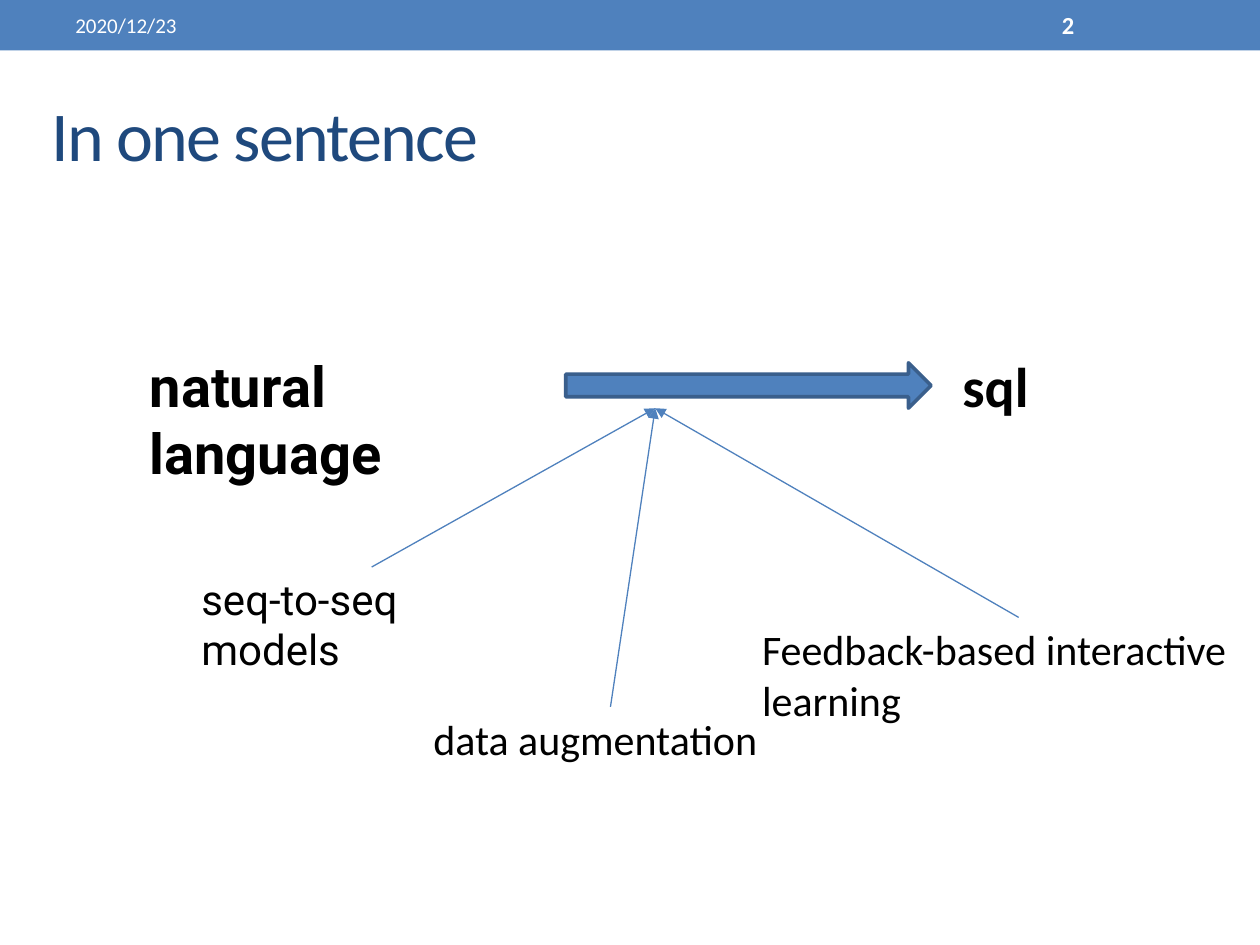
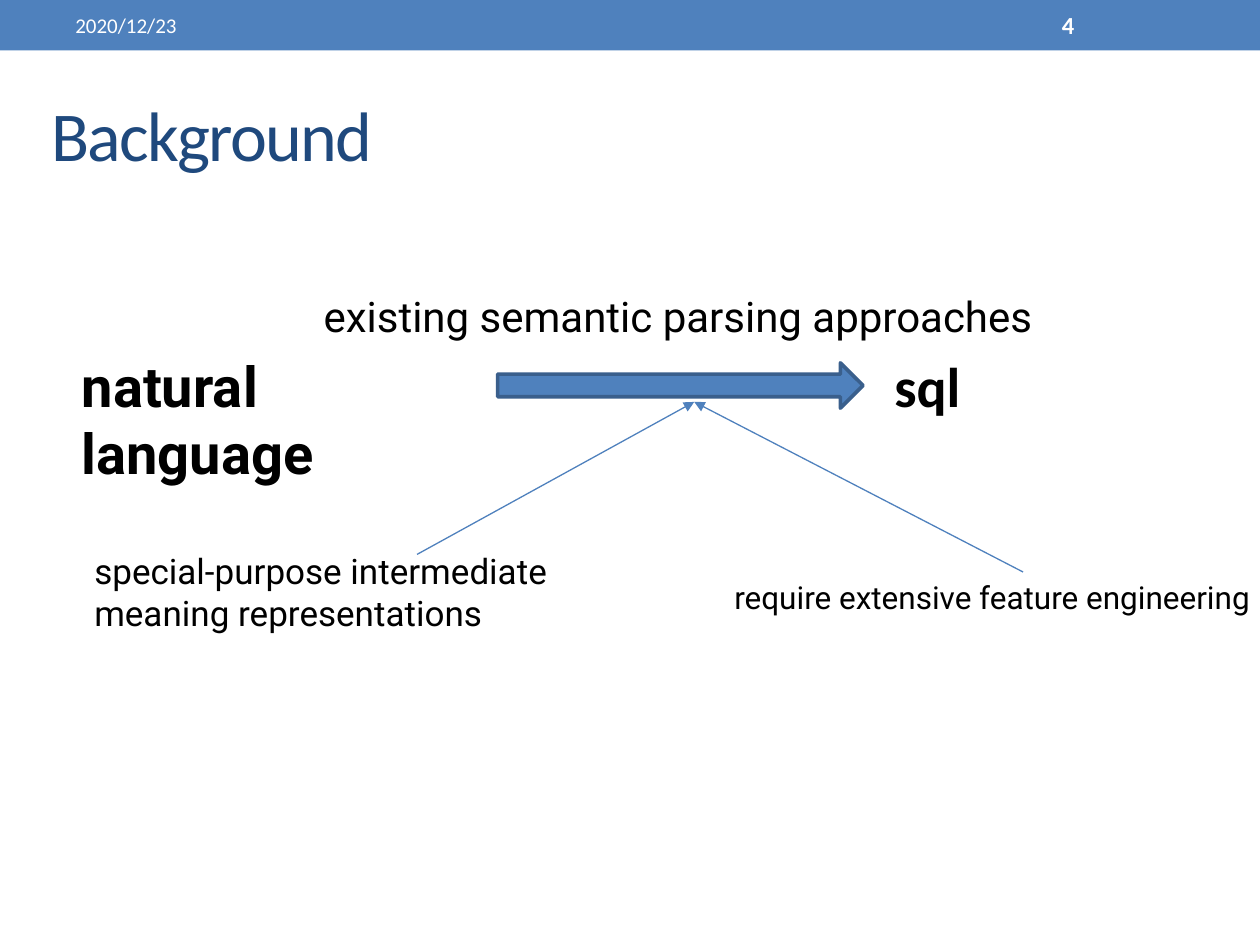
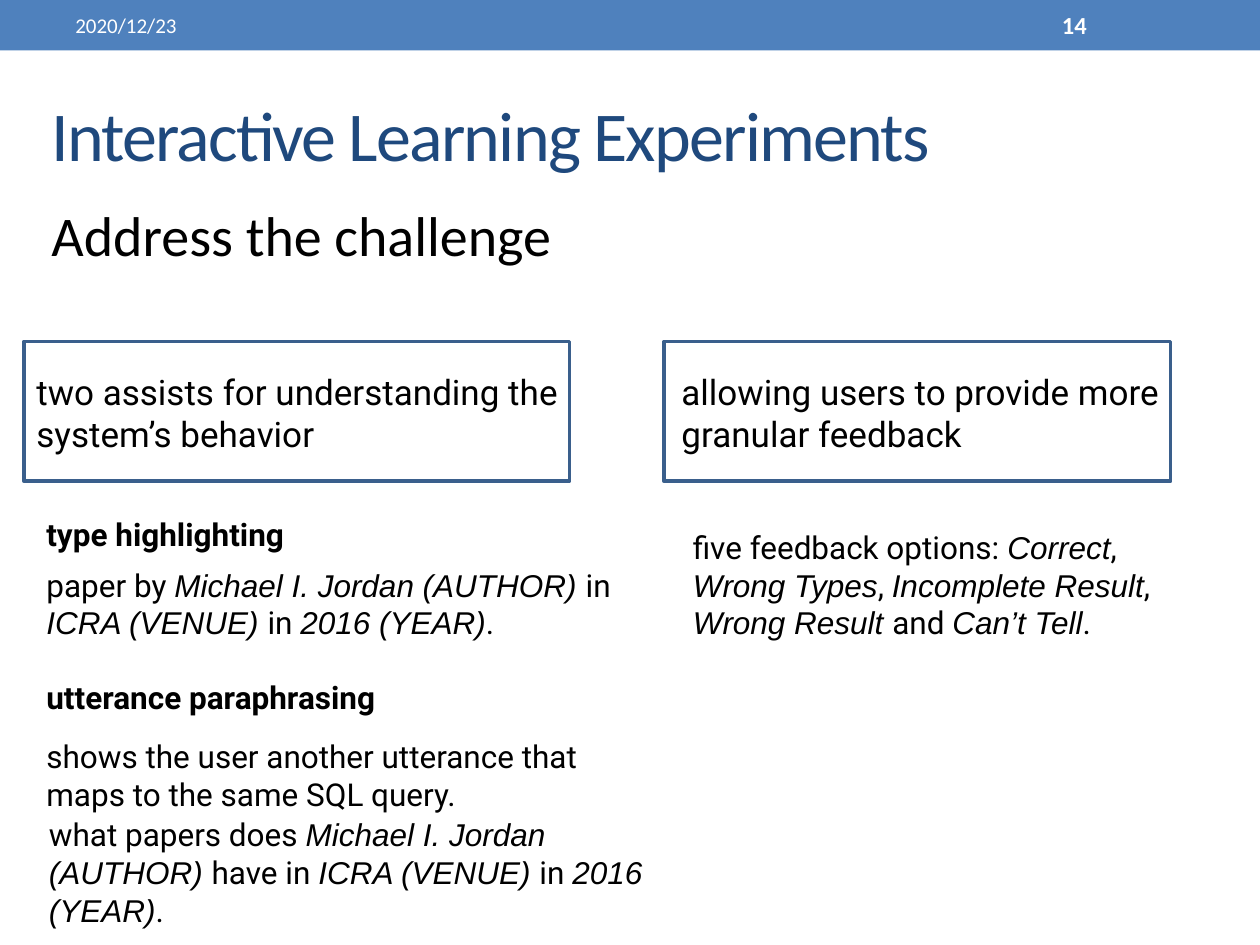
import pptx
import pptx.util
import pptx.dml.color
import pptx.enum.shapes
import pptx.enum.text
import pptx.oxml
import pptx.oxml.ns

Inches = pptx.util.Inches
Pt = pptx.util.Pt
SHAPE = pptx.enum.shapes.MSO_SHAPE
ANCHOR = pptx.enum.text.MSO_ANCHOR

COLORS = {"blue": "4F81BD", "edge": "3A5F8C", "title": "1F497D", "white": "FFFFFF", "black": "000000"}
DATE = "2020/12/23"
SLIDE_W, SLIDE_H, BAND_H = 10, 7.5, 0.4

# Labels: text, (left, top, width, height), size, font, start of the arrow (None: top centre)
SENTENCE = {
    "title": "In one sentence", "number": 2, "flow_left": 1.09, "target": (5.2, 3.24),
    "labels": [
        ("seq-to-seq models", (1.5, 4.5, 2.9, 0.5), 24, "Roboto", None),
        ("data augmentation", (3.34, 5.61, 3.01, 0.5), 24, "Calibri", None),
        ("Feedback-based interactive learning", (5.95, 4.9, 4.27, 0.91), 24, "Calibri", None),
    ],
}
BACKGROUND = {
    "title": "Background", "number": 4, "flow_left": 0.55, "target": (5.51, 3.19),
    "heading": "existing semantic parsing approaches",
    "labels": [
        ("special-purpose intermediate meaning representations",
         (0.65, 4.31, 4.5, 0.77), 20, "Roboto", (3.31, 4.4)),
        ("require extensive feature engineering",
         (5.73, 4.54, 5, 0.4), 18, "Roboto", (8.12, 4.54)),
    ],
}
# Text between asterisks is italic
EXPERIMENTS = {
    "title": "Interactive Learning Experiments", "number": 14, "subtitle": "Address the challenge",
    "frames": [(0.19, 4.33), (5.27, 4.02)],
    "claims": [
        ("two assists for understanding the system’s behavior", 0.19, 4.69),
        ("allowing users to provide more granular feedback", 5.31, 4.19),
    ],
    "headings": [("type highlighting", 4.04), ("utterance paraphrasing", 5.33)],
    "details": [
        ("paper by *Michael I. Jordan (AUTHOR) *in *ICRA (VENUE) *in *2016 (YEAR)*.", (0.27, 4.44, 4.88, 0.71)),
        ("shows the user another utterance that maps to the same SQL query.", (0.27, 5.8, 5.04, 0.71)),
        ("what papers does *Michael I. Jordan (AUTHOR) *have in *ICRA (VENUE) *in *2016 (YEAR)*.",
         (0.29, 6.42, 5.38, 0.71)),
        ("five feedback options: *Correct*, *Wrong Types*, *Incomplete Result*, *Wrong Result *and *Can’t Tell*.",
         (5.4, 4.14, 4.02, 1.31)),
    ],
}


def rgb(name):
    return pptx.dml.color.RGBColor.from_string(COLORS[name])


def add_text(s, text, box, size, font="Roboto", color="black", bold=False, middle=False):
    """Add a text box; parts between asterisks become italic Arial."""
    tf = s.shapes.add_textbox(*map(Inches, box)).text_frame
    tf.word_wrap = True
    tf.vertical_anchor = ANCHOR.MIDDLE if middle else ANCHOR.TOP
    p = tf.paragraphs[0]
    for i, part in enumerate(text.split("*")):
        italic = i % 2 == 1
        r = p.add_run()
        r.text = part
        r.font.size = Pt(size)
        r.font.name = "Arial" if italic else font
        r.font.italic = italic
        r.font.bold = bold
        r.font.color.rgb = rgb(color)
    return p


def add_shape(s, kind, box, fill=None, edge=None):
    sp = s.shapes.add_shape(kind, *map(Inches, box))
    sp.shadow.inherit = False
    if fill:
        sp.fill.solid()
        sp.fill.fore_color.rgb = rgb(fill)
    else:
        sp.fill.background()
    if edge:
        sp.line.color.rgb = rgb(edge)
        sp.line.width = Pt(2.08)
    else:
        sp.line.fill.background()


def add_arrow(s, start, end):
    line = s.shapes.add_connector(pptx.enum.shapes.MSO_CONNECTOR.STRAIGHT, *map(Inches, start + end))
    line.line.color.rgb = rgb("blue")
    line.line.width = Pt(0.75)
    pptx.oxml.ns.qn("a:ln")
    ln = line.line._get_or_add_ln()
    tail = pptx.oxml.parse_xml(f'<a:tailEnd {pptx.oxml.ns.nsdecls("a")} type="triangle"/>')
    ln.append(tail)
    ln.addnext(pptx.oxml.parse_xml(f'<a:effectLst {pptx.oxml.ns.nsdecls("a")}/>'))


def add_slide(prs, content):
    """Add a blank slide with the band, date, number and title."""
    s = prs.slides.add_slide(prs.slide_layouts[6])
    add_shape(s, SHAPE.RECTANGLE, (0, 0, SLIDE_W, BAND_H), "blue")
    add_text(s, DATE, (0.5, 0.02, 3.17, 0.36), 12, "Calibri", "white", middle=True)
    add_text(s, str(content["number"]), (8.33, 0.02, 1.17, 0.36), 14, "Calibri", "white", True, True)
    title = add_text(s, content["title"], (0.31, 0.58, 8.98, 0.96), 40, "Calibri", "title", middle=True)
    title.runs[0].font._element.set("spc", "-100")
    return s


def add_flow_slide(prs, content):
    """Show natural language turning into sql, with labels pointing at the arrow."""
    s = add_slide(prs, content)
    left = content["flow_left"]
    add_text(s, "natural language", (left, 2.74, 3.36, 0.64), 32, bold=True)
    add_text(s, "sql", (left + 6.45, 2.74, 1.34, 0.64), 32, "Calibri", bold=True)
    add_shape(s, SHAPE.RIGHT_ARROW, (left + 3.4, 2.88, 2.9, 0.36), "blue", "edge")
    if "heading" in content:
        add_text(s, content["heading"], (2.47, 2.26, 6.13, 0.5), 24)
    for text, box, size, font, start in content["labels"]:
        add_text(s, text, box, size, font)
        x, y, w, _ = box
        add_arrow(s, start or (x + w / 2, y), content["target"])


def add_experiments_slide(prs, content):
    s = add_slide(prs, content)
    add_text(s, content["subtitle"], (0.31, 1.54, 8.98, 0.64), 32, "Calibri")
    for left, width in content["frames"]:
        add_shape(s, SHAPE.RECTANGLE, (left, 2.71, width, 1.11), edge="edge")
    for text, left, width in content["claims"]:
        add_text(s, text, (left, 2.89, width, 1.11), 20)
    for text, top in content["headings"]:
        add_text(s, text, (0.27, top, 5, 0.4), 18, bold=True)
    for text, box in content["details"]:
        add_text(s, text, box, 18)


def main():
    prs = pptx.Presentation()
    prs.slide_width, prs.slide_height = Inches(SLIDE_W), Inches(SLIDE_H)
    add_flow_slide(prs, SENTENCE)
    add_flow_slide(prs, BACKGROUND)
    add_experiments_slide(prs, EXPERIMENTS)
    prs.save("out.pptx")


if __name__ == "__main__":
    main()
